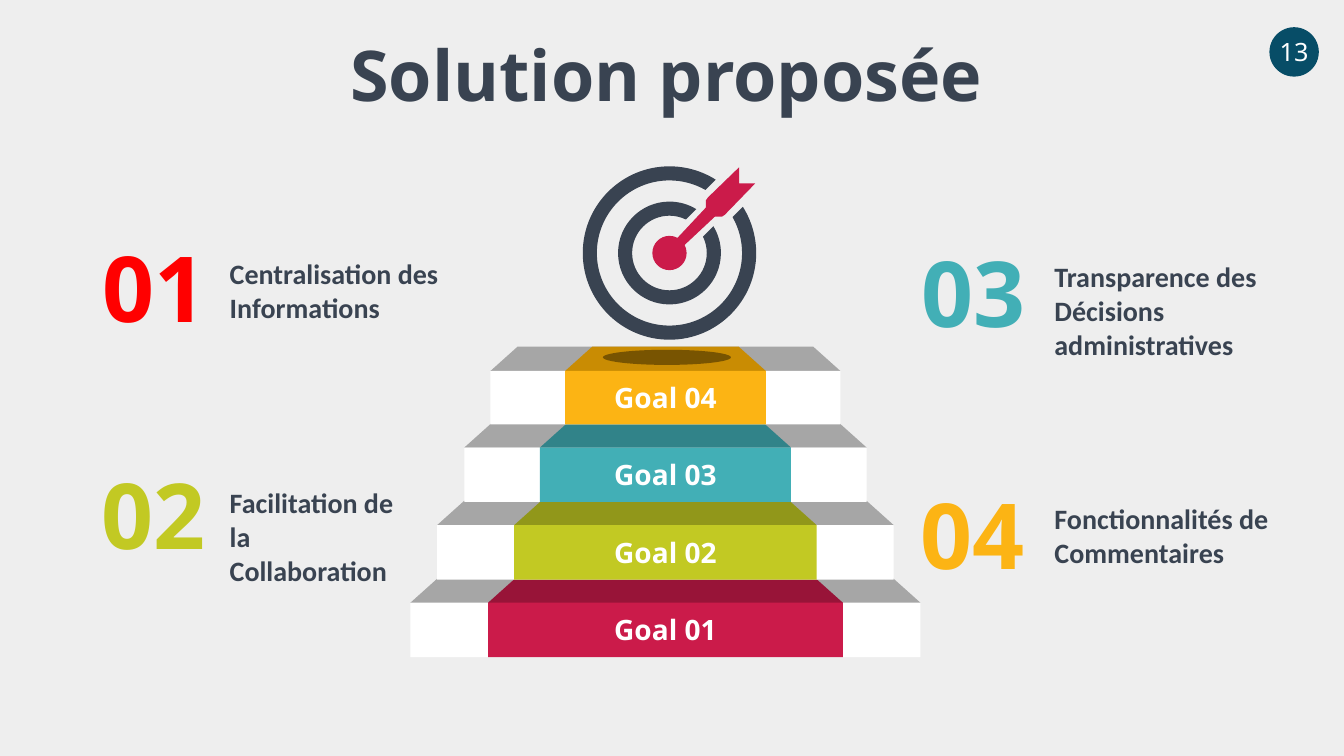
from math import asin, ceil, cos, degrees, radians, sin, tan

from lxml.etree import SubElement
from pptx import Presentation
from pptx.dml.color import RGBColor
from pptx.enum.shapes import MSO_SHAPE
from pptx.enum.text import MSO_ANCHOR, MSO_AUTO_SIZE, PP_ALIGN
from pptx.oxml.ns import qn
from pptx.util import Inches, Pt

COLORS = {
    "background": "EEEEEE", "ink": "394351", "badge": "074D67",
    "white": "FFFFFF", "black": "000000", "gray": "A6A6A6", "red": "FF0000",
    "crimson": "CB1B4A", "dark crimson": "981438",
    "lime": "C2C923", "dark lime": "91971A",
    "teal": "42AFB6", "dark teal": "318389",
    "amber": "FCB414", "dark amber": "C98C03",
}
STEPS = [
    ("Goal 01", "crimson", 5.74, 0.54, 5.06, 3.52),
    ("Goal 02", "lime", 4.97, 0.54, 4.53, 3),
    ("Goal 03", "teal", 4.2, 0.54, 3.99, 2.49),
    ("Goal 04", "amber", 3.44, 0.53, 3.47, 1.99),
]
CAPTIONS = [
    ("01", "red", (0.89, 2.25, 1.29, 1.19),
     "Centralisation des Informations", (2.18, 2.5, 2.75, 0.77)),
    ("02", "lime", (0.77, 4.5, 1.5, 1.19),
     "Facilitation de la Collaboration", (2.18, 4.77, 1.98, 1.11)),
    ("04", "amber", (8.87, 4.7, 1.55, 1.19),
     "Fonctionnalités de Commentaires", (10.36, 4.93, 2.39, 0.77)),
    ("03", "teal", (8.91, 2.3, 1.5, 1.19),
     "Transparence des Décisions administratives", (10.36, 2.53, 2.97, 1.11)),
]


def color(name):
    return RGBColor.from_string(COLORS[name])


def paint(shape, name):
    shape.shadow.inherit = False
    shape.fill.solid()
    shape.fill.fore_color.rgb = color(name)
    shape.line.fill.background()


def add_block(shapes, kind, box, name):
    block = shapes.add_shape(kind, *map(Inches, box))
    paint(block, name)
    return block


def write(shape, text, size, font, name, align=PP_ALIGN.CENTER, bold=True):
    para = shape.text_frame.paragraphs[0]
    para.text = text
    para.alignment = align
    span = para.runs[0]
    span.font.size = Pt(size)
    span.font.name = font
    span.font.bold = bold
    span.font.color.rgb = color(name)


def add_text(shapes, box, *style):
    label = shapes.add_textbox(*map(Inches, box))
    label.text_frame.word_wrap = True
    label.text_frame.auto_size = MSO_AUTO_SIZE.SHAPE_TO_FIT_TEXT
    write(label, *style)


def add_header(page):
    badge = add_block(page.shapes, MSO_SHAPE.OVAL, (12.59, 0.27, 0.49, 0.49), "badge")
    badge.text_frame.word_wrap = False
    badge.text_frame.vertical_anchor = MSO_ANCHOR.MIDDLE
    write(badge, "13", 18, "Noto Sans", "white", PP_ALIGN.CENTER, False)
    add_text(page.shapes, (1.32, 0.26, 10.58, 0.94),
             "Solution proposée", 50, "Noto Sans", "ink")


def add_caption(page, number, name, number_box, text, text_box):
    add_text(page.shapes, number_box, number, 65, "Open Sans", name)
    add_text(page.shapes, text_box, text, 20, "Calibri", "ink", PP_ALIGN.LEFT)


def add_step(page, center, text, name, top, riser, outer_width, inner_width):
    tread, label_width = 0.24, 2.8
    step = page.shapes.add_group_shape()
    for width, front, shade in ((outer_width, "white", "gray"),
                                (inner_width, name, "dark " + name)):
        left = center - width / 2
        surface = add_block(step.shapes, MSO_SHAPE.TRAPEZOID,
                            (left, top, width, tread), shade)
        surface.adjustments[0] = 1.115
        add_block(step.shapes, MSO_SHAPE.RECTANGLE,
                  (left, top + tread, width, riser), front)
    add_text(step.shapes, (center - label_width / 2, top + 0.29, label_width, 0.44),
             text, 20, "Open Sans", "white")


def arc(radius, start, end):
    stops = [start, *range(90 * ceil(start / 90), ceil(end), 90), end]
    points = [(radius * cos(radians(start)), radius * sin(radians(start)))]
    for first, last in zip(stops, stops[1:]):
        a, b = radians(first), radians(last)
        reach = 4 / 3 * tan((b - a) / 4)
        points += [(radius * (cos(a) - reach * sin(a)), radius * (sin(a) + reach * cos(a))),
                   (radius * (cos(b) + reach * sin(b)), radius * (sin(b) - reach * cos(b))),
                   (radius * cos(b), radius * sin(b))]
    return points


def straight(start, end):
    return [start, end, end]


def add_outline(shapes, center, points, name):
    x, y = center
    corners = [(Inches(x + across), Inches(y - up)) for across, up in points]
    builder = shapes.build_freeform(*corners[0])
    builder.add_line_segments(corners[1:], close=True)
    shape = builder.convert_to_shape()
    paint(shape, name)
    lines = list(shape._element.iter(qn("a:lnTo")))
    for first in range(0, len(lines), 3):
        curve = SubElement(lines[first].getparent(), qn("a:cubicBezTo"))
        lines[first].addprevious(curve)
        for line in lines[first:first + 3]:
            curve.append(line[0])
            line.getparent().remove(line)


def add_ring(shapes, center, outer, inner, half_gap):
    edges = []
    for radius in (outer, inner):
        opening = degrees(asin(half_gap / radius))
        edges.append(arc(radius, 45 + opening, 405 - opening))
    outside, inside = edges[0], edges[1][::-1]
    add_outline(shapes, center,
                outside + straight(outside[-1], inside[0]) + inside[1:], "ink")


def add_target(page, center):
    target = page.shapes.add_group_shape()
    add_ring(target.shapes, center, 0.86, 0.72, 0.19)
    add_ring(target.shapes, center, 0.51, 0.37, 0.12)
    upper_side = [(0.36, 0.45), (0.36, 0.52), (0.38, 0.55), (0.69, 0.85)]
    lower_side = [(up, across) for across, up in upper_side]
    dart = arc(0.17, 62, 388)
    for corner in lower_side + [(0.69, 0.69)] + upper_side[::-1]:
        dart += straight(dart[-1], corner)
    add_outline(target.shapes, center, dart, "crimson")


def add_target_shadow(page, box):
    shadow = add_block(page.shapes, MSO_SHAPE.OVAL, box, "black")
    tint = next(shadow._element.iter(qn("a:srgbClr")))
    SubElement(tint, qn("a:alpha"), val="40000")


def main():
    deck = Presentation()
    deck.slide_width, deck.slide_height = Inches(13.33), Inches(7.5)
    page = deck.slides.add_slide(deck.slide_layouts[6])
    page.background.fill.solid()
    page.background.fill.fore_color.rgb = color("background")
    add_header(page)
    for caption in CAPTIONS:
        add_caption(page, *caption)
    for step in STEPS:
        add_step(page, 6.6, *step)
    add_target(page, (6.64, 2.51))
    add_target_shadow(page, (5.98, 3.47, 1.27, 0.15))
    deck.save("out.pptx")


if __name__ == "__main__":
    main()
